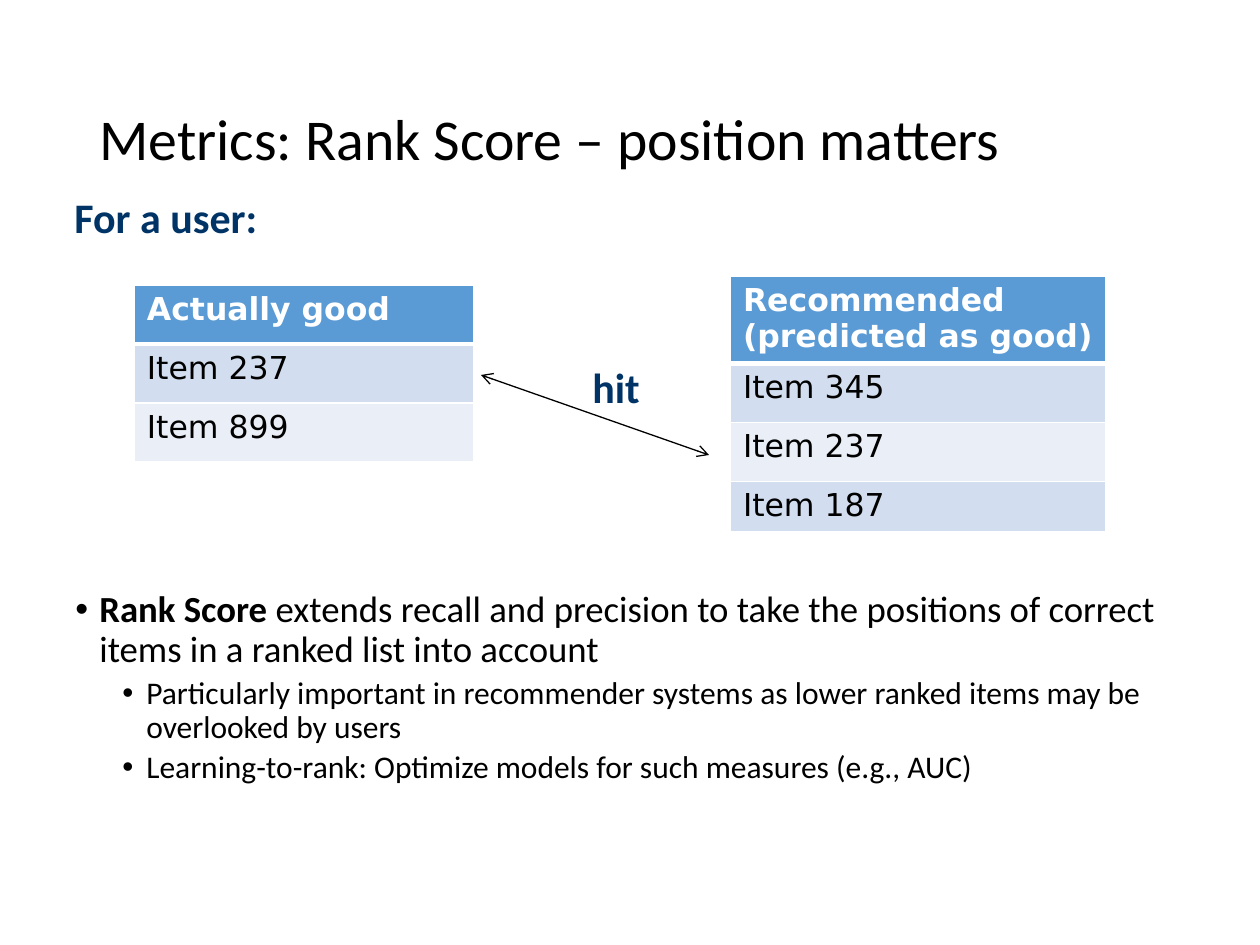
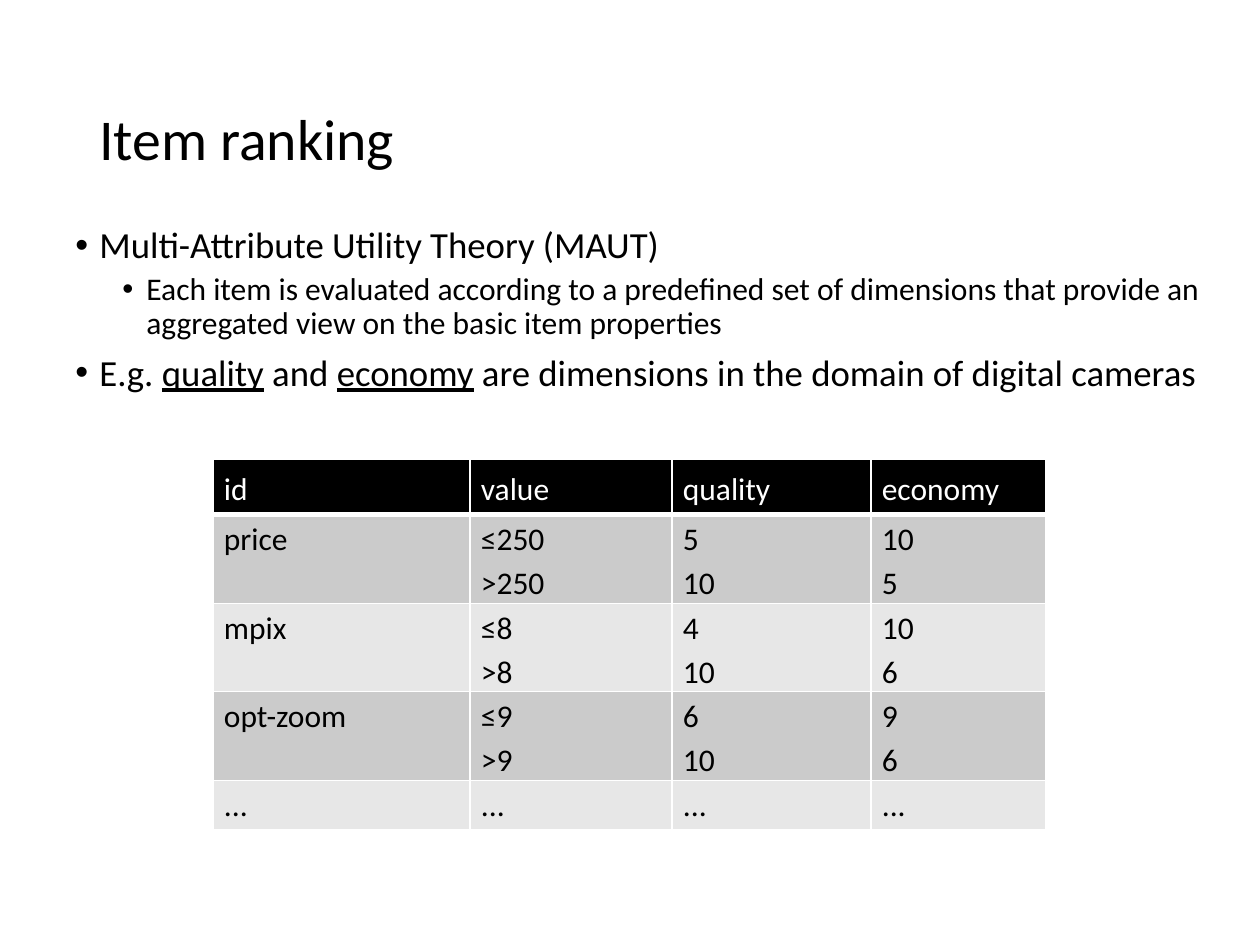
from lxml.etree import SubElement
from pptx import Presentation
from pptx.dml.color import RGBColor
from pptx.enum.shapes import MSO_CONNECTOR
from pptx.enum.text import MSO_ANCHOR, MSO_AUTO_SIZE
from pptx.oxml.ns import qn
from pptx.util import Inches, Pt

PX = Inches(1) // 126
SANS, WIDE = "Calibri", "DejaVu Sans"
HUES = {
    "text": "000000", "white": "FFFFFF", "note": "003366",
    "blue": "5B9BD5", "sky": "D2DEEF", "ice": "EAEFF7",
    "black": "000000", "grey": "CBCBCB", "pale": "E7E7E7",
}

# Bullet levels: text size, left indent in px, space before in points
LEVELS = [(21, 24, 7.5), (18, 71, 3.75)]
HANG = 24

# Table looks: fills, text and cell margins (header first, then body)
BLUES = {
    "head": "blue", "bands": ("sky", "ice"), "face": WIDE, "bold": True,
    "side": 13, "tops": (6, 6), "para": {},
}
GREYS = {
    "head": "black", "bands": ("grey", "pale"), "face": SANS, "bold": False,
    "side": 11, "tops": (6, 0), "para": {"line_spacing": 1.15},
}

# Each bullet is a level and its runs; a run is a text and its font values
SLIDES = [
    {
        "title": "Metrics: Rank Score – position matters",
        "body": (63, 585, 1134, 262),
        "points": [
            (0, [("Rank Score", {"bold": True}),
                 (" extends recall and precision to take the positions of "
                  "correct items in a ranked list into account", {})]),
            (1, [("Particularly important in recommender systems as lower "
                  "ranked items may be overlooked by users", {})]),
            (1, [("Learning-to-rank: Optimize models for such measures "
                  "(e.g., AUC)", {})]),
        ],
        "tables": [
            {"look": BLUES, "at": (134, 285), "cols": [340],
             "rows": [59, 59, 59],
             "cells": [["Actually good"], ["Item 237"], ["Item 899"]]},
            {"look": BLUES, "at": (730, 276), "cols": [376],
             "rows": [86, 59, 59, 49],
             "cells": [["Recommended\n(predicted as good)"],
                       ["Item 345"], ["Item 237"], ["Item 187"]]},
        ],
        "notes": [("For a user:", (62, 185, 210, 63)),
                  ("hit", (580, 355, 73, 63))],
        "arrows": [(481, 375, 709, 455)],
    },
    {
        "title": "Item ranking",
        "body": (63, 221, 1153, 624),
        "points": [
            (0, [("Multi-Attribute Utility Theory (MAUT)", {})]),
            (1, [("Each item is evaluated according to a predefined set of "
                  "dimensions that provide an aggregated view on the basic "
                  "item properties", {})]),
            (0, [("E.g. ", {}), ("quality", {"underline": True}),
                 (" and ", {}), ("economy", {"underline": True}),
                 (" are dimensions in the domain of digital cameras", {})]),
        ],
        "tables": [
            {"look": GREYS, "at": (213, 459), "cols": [257, 202, 199, 175],
             "rows": [54, 89, 88, 89, 49],
             "cells": [["id", "value", "quality", "economy"],
                       ["price", "≤250\n>250", "5\n10", "10\n5"],
                       ["mpix", "≤8\n>8", "4\n10", "10\n6"],
                       ["opt-zoom", "≤9\n>9", "6\n10", "9\n6"],
                       ["..."] * 4]},
        ],
        "notes": [],
        "arrows": [],
    },
]


def scale(spots):
    return [spot * PX for spot in spots]


def shade(hue):
    return RGBColor.from_string(HUES[hue])


def apply(thing, values):
    for name, value in values.items():
        setattr(thing, name, value)


def add_run(para, text, size, hue="text", **values):
    run = para.add_run()
    run.text = text
    apply(run.font, {"name": SANS, "size": Pt(size), "bold": False, **values})
    run.font.color.rgb = shade(hue)


def add_box(slide, place, **values):
    frame = slide.shapes.add_textbox(*scale(place)).text_frame
    apply(frame, {"word_wrap": True, **values})
    return frame


def add_title(slide, text):
    frame = add_box(slide, (87, 50, 1086, 183),
                    vertical_anchor=MSO_ANCHOR.MIDDLE)
    para = frame.paragraphs[0]
    para.line_spacing = 0.9
    add_run(para, text, 33)


def add_points(slide, place, points):
    frame = add_box(slide, place)
    for spot, (level, runs) in enumerate(points):
        para = frame.add_paragraph() if spot else frame.paragraphs[0]
        size, left, gap = LEVELS[level]
        apply(para, {"level": level, "line_spacing": 0.9,
                     "space_before": Pt(gap)})
        props = para._p.get_or_add_pPr()
        props.set("marL", str(left * PX))
        props.set("indent", str(-HANG * PX))
        SubElement(props, qn("a:buFont"), typeface="Arial")
        SubElement(props, qn("a:buChar"), char="•")
        for text, values in runs:
            add_run(para, text, size, **values)


def add_edges(cell, row):
    """Draw white cell borders, thick between header and body."""
    props = cell._tc.get_or_add_tcPr()
    thick = {0: "B", 1: "T"}.get(row)
    for side in "LRTB":
        width = Pt(3 if side == thick else 1)
        line = SubElement(props, qn(f"a:ln{side}"), w=str(width))
        fill = SubElement(line, qn("a:solidFill"))
        SubElement(fill, qn("a:srgbClr"), val=HUES["white"])


def fill_cell(cell, text, row, look):
    head = row == 0
    add_edges(cell, row)
    cell.fill.solid()
    hue = look["head"] if head else look["bands"][(row - 1) % 2]
    cell.fill.fore_color.rgb = shade(hue)
    side, top = scale((look["side"], look["tops"][0 if head else 1]))
    apply(cell, {"margin_left": side, "margin_right": side,
                 "margin_top": top, "margin_bottom": top})
    frame = cell.text_frame
    for spot, line in enumerate(text.split("\n")):
        para = frame.add_paragraph() if spot else frame.paragraphs[0]
        apply(para, look["para"])
        add_run(para, line, 18, "white" if head else "text",
                name=look["face"], bold=head and look["bold"])


def add_grid(slide, look, at, cols, rows, cells):
    size = (sum(cols), sum(rows))
    table = slide.shapes.add_table(len(rows), len(cols),
                                   *scale(at + size)).table
    for col, width in zip(table.columns, scale(cols)):
        col.width = width
    for row, height in enumerate(scale(rows)):
        table.rows[row].height = height
        for col, text in enumerate(cells[row]):
            fill_cell(table.cell(row, col), text, row, look)


def add_note(slide, text, place):
    frame = add_box(slide, place, word_wrap=False,
                    auto_size=MSO_AUTO_SIZE.SHAPE_TO_FIT_TEXT)
    add_run(frame.paragraphs[0], text, 24, "note", bold=True)


def add_arrow(slide, ends):
    link = slide.shapes.add_connector(MSO_CONNECTOR.STRAIGHT, *scale(ends))
    link.line.width = Pt(0.75)
    link.line.color.rgb = shade("text")
    line = link.line._get_or_add_ln()
    for end in ("head", "tail"):
        SubElement(line, qn(f"a:{end}End"), type="arrow")
    SubElement(link._element.spPr, qn("a:effectLst"))


def main():
    deck = Presentation()
    apply(deck, {"slide_width": Inches(10), "slide_height": Inches(7.5)})
    for data in SLIDES:
        slide = deck.slides.add_slide(deck.slide_layouts[6])
        add_title(slide, data["title"])
        add_points(slide, data["body"], data["points"])
        for grid in data["tables"]:
            add_grid(slide, **grid)
        for text, place in data["notes"]:
            add_note(slide, text, place)
        for ends in data["arrows"]:
            add_arrow(slide, ends)
    deck.save("out.pptx")


if __name__ == "__main__":
    main()
